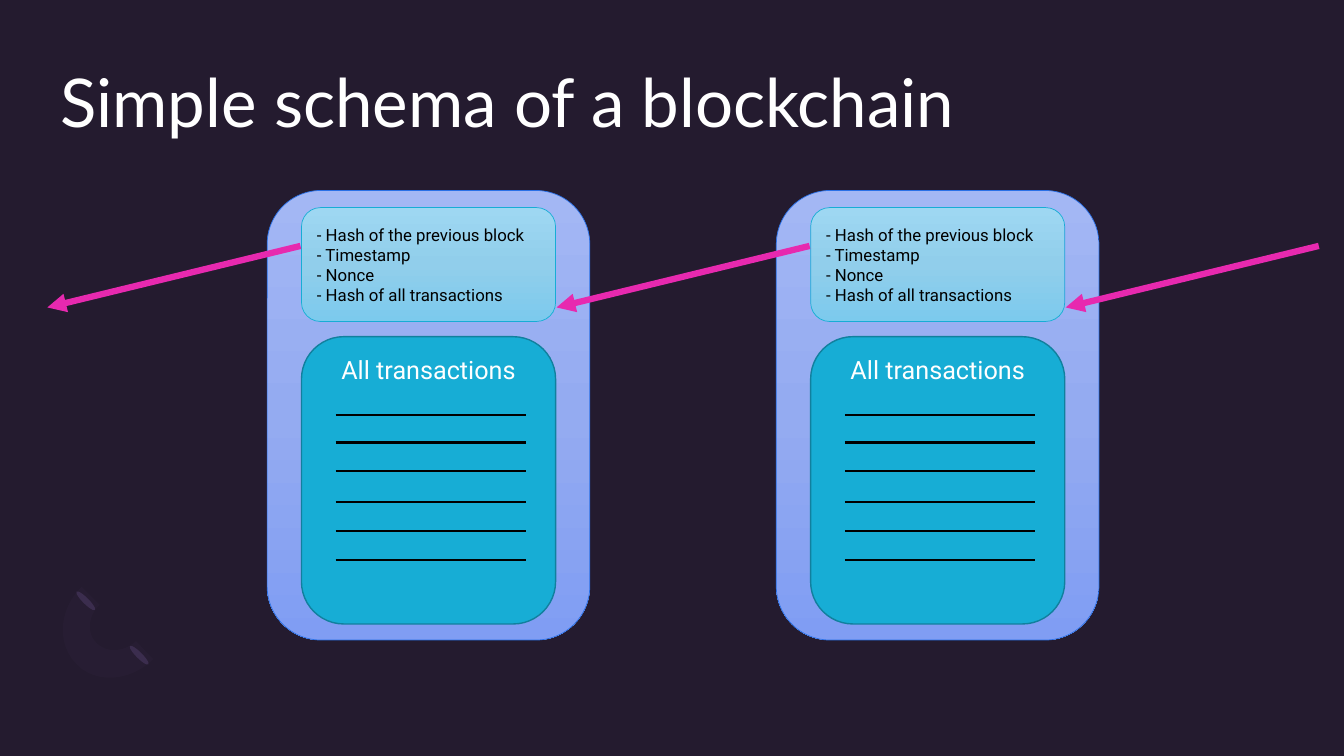
"""Build a slide with a simple schema of a blockchain."""
from lxml.etree import SubElement
from pptx import Presentation
from pptx.dml.color import RGBColor
from pptx.enum.shapes import MSO_CONNECTOR, MSO_SHAPE
from pptx.enum.text import MSO_ANCHOR, PP_ALIGN
from pptx.oxml.ns import qn
from pptx.util import Inches, Pt

TITLE = "Simple schema of a blockchain"
HEADER = ["- Hash of the previous block", "- Timestamp", "- Nonce",
          "- Hash of all transactions"]
BODY = ["All transactions"]
BLOCKS = 2
STEP = 5.05
ROWS = [4.12, 4.39, 4.67, 4.98, 5.27, 5.56]
DASHES = [(1.35, 6.37), (0.82, 5.83)]
ARC = [
    [(0.76, 6.59), (0.56, 6.39), (0.58, 6.05), (0.81, 5.82)],
    [(0.99, 6), (0.87, 6.11), (0.86, 6.29), (0.96, 6.38)],
    [(0.96, 6.38), (1.06, 6.48), (1.23, 6.47), (1.35, 6.36)],
    [(1.52, 6.54), (1.3, 6.76), (0.95, 6.79), (0.76, 6.59)],
]
THEME = {
    "back": "241B2F", "dash": "392B4B", "arc": "8F75AF", "fade": 3,
    "row": ("000000", 1.5), "arrow": ("E729AF", 4.5),
    "title": {"name": "Lato", "size": 48, "color": "FFFFFF"},
    "head": {"name": "Roboto", "size": 12, "color": "000000"},
    "body": {"name": "Roboto", "size": 18, "color": "FFFFFF"},
}
CARDS = [
    {"at": (2.65, 1.89, 3.2, 4.46), "fill": ["A3B7F4", "94ABF1", "809DF3"],
     "line": ("2970E7", 0.5)},
    {"at": (2.99, 2.06, 2.52, 1.13), "fill": ["9ED7F2", "91CEEB", "7CCAED"],
     "line": ("17ADD5", 0.5), "text": HEADER, "font": "head",
     "align": PP_ALIGN.LEFT, "anchor": MSO_ANCHOR.MIDDLE},
    {"at": (2.99, 3.34, 2.52, 2.85), "fill": ["17ADD5"],
     "line": ("11809E", 1), "text": BODY, "font": "body",
     "align": PP_ALIGN.CENTER, "anchor": MSO_ANCHOR.TOP},
]


def paint(fill, tones):
    if len(tones) == 1:
        fill.solid()
        fill.fore_color.rgb = RGBColor.from_string(tones[0])
        return
    fill.gradient()
    fill.gradient_angle = 270
    stops = fill.gradient_stops
    for stop, tone in zip(stops, (tones[0], tones[-1])):
        stop.color.rgb = RGBColor.from_string(tone)


def add_mid(shape, tone):
    stops = shape.element.spPr.find(qn("a:gradFill")).find(qn("a:gsLst"))
    mid = SubElement(stops, qn("a:gs"), pos="50000")
    SubElement(mid, qn("a:srgbClr"), val=tone)
    stops.insert(1, mid)


def write(frame, lines, style, align, anchor):
    frame.word_wrap = True
    frame.vertical_anchor = anchor
    for i, text in enumerate(lines):
        para = frame.paragraphs[0] if i == 0 else frame.add_paragraph()
        para.alignment = align
        run = para.add_run()
        run.text = text
        look = {"name": style["name"], "size": Pt(style["size"])}
        for key, value in look.items():
            setattr(run.font, key, value)
        run.font.color.rgb = RGBColor.from_string(style["color"])


def add_line(slide, start, end, style, head=False):
    ends = [Inches(v) for v in (*start, *end)]
    line = slide.shapes.add_connector(MSO_CONNECTOR.STRAIGHT, *ends)
    line.line.color.rgb = RGBColor.from_string(style[0])
    line.line.width = Pt(style[1])
    if head:
        SubElement(line.line._get_or_add_ln(), qn("a:tailEnd"), type="triangle")
    SubElement(line.element.spPr, qn("a:effectLst"))


def add_card(slide, card, shift):
    left, top, wide, high = card["at"]
    box = [Inches(v) for v in (left + shift, top, wide, high)]
    shape = slide.shapes.add_shape(MSO_SHAPE.ROUNDED_RECTANGLE, *box)
    shape.shadow.inherit = False
    paint(shape.fill, card["fill"])
    if len(card["fill"]) == 3:
        add_mid(shape, card["fill"][1])
    shape.line.color.rgb = RGBColor.from_string(card["line"][0])
    shape.line.width = Pt(card["line"][1])
    if "text" in card:
        write(shape.text_frame, card["text"], THEME[card["font"]],
              card["align"], card["anchor"])


def curve(knots, steps=12):
    for i in range(steps + 1):
        t = i / steps
        parts = ((1 - t) ** 3, 3 * t * (1 - t) ** 2, 3 * t * t * (1 - t), t ** 3)
        yield tuple(Inches(sum(p * k[axis] for p, k in zip(parts, knots)))
                    for axis in (0, 1))


def add_decor(slide):
    for x, y in DASHES:
        box = [Inches(v) for v in (x, y, 0.06, 0.26)]
        dash = slide.shapes.add_shape(MSO_SHAPE.OVAL, *box)
        dash.rotation = 135
        dash.shadow.inherit = False
        paint(dash.fill, [THEME["dash"]])
        dash.line.fill.background()
    dots = [dot for knots in ARC for dot in curve(knots)]
    pen = slide.shapes.build_freeform(*dots[0])
    pen.add_line_segments(dots[1:], close=True)
    arc = pen.convert_to_shape()
    arc.shadow.inherit = False
    paint(arc.fill, [THEME["arc"]])
    arc.line.fill.background()
    tone = arc.element.spPr.find(qn("a:solidFill"))[0]
    SubElement(tone, qn("a:alpha"), val=str(THEME["fade"] * 1000))


def add_title(slide):
    box = [Inches(v) for v in (0.6, 0.6, 12.13, 1.46)]
    frame = slide.shapes.add_textbox(*box).text_frame
    for side in ("left", "top", "right", "bottom"):
        setattr(frame, f"margin_{side}", 0)
    write(frame, [TITLE], THEME["title"], PP_ALIGN.LEFT, MSO_ANCHOR.TOP)


def main():
    deck = Presentation()
    deck.slide_width, deck.slide_height = Inches(13.33), Inches(7.5)
    slide = deck.slides.add_slide(deck.slide_layouts[6])
    paint(slide.background.fill, [THEME["back"]])
    add_decor(slide)
    add_title(slide)
    for i in range(BLOCKS):
        shift = i * STEP
        for card in CARDS:
            add_card(slide, card, shift)
        for y in ROWS:
            add_line(slide, (3.33 + shift, y), (5.22 + shift, y), THEME["row"])
    for i in range(BLOCKS + 1):
        shift = i * STEP
        add_line(slide, (2.98 + shift, 2.44), (0.47 + shift, 3.05),
                 THEME["arrow"], head=True)
    deck.save("out.pptx")


if __name__ == "__main__":
    main()
